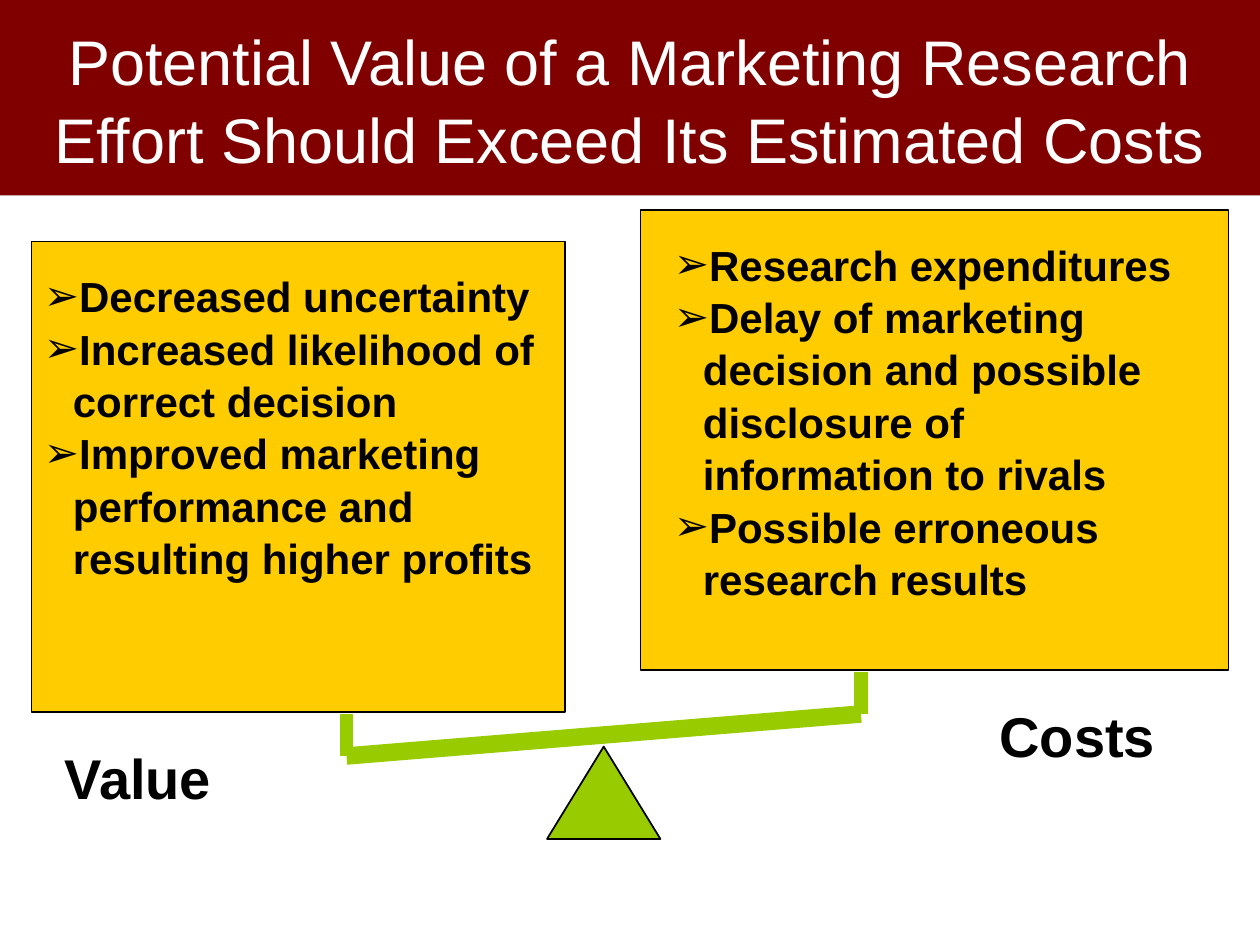
import pptx
import pptx.dml.color
import pptx.enum.shapes
import pptx.enum.text
import pptx.oxml
import pptx.oxml.ns
import pptx.util
from lxml import etree

RGBColor = pptx.dml.color.RGBColor
Shape = pptx.enum.shapes.MSO_SHAPE
Align = pptx.enum.text.PP_ALIGN
Anchor = pptx.enum.text.MSO_ANCHOR
AutoSize = pptx.enum.text.MSO_AUTO_SIZE

MAROON = RGBColor(0x80, 0x00, 0x00)
GOLD = RGBColor(0xFF, 0xCC, 0x00)
GREEN = RGBColor(0x99, 0xCC, 0x00)
BLACK = RGBColor(0x00, 0x00, 0x00)
WHITE = RGBColor(0xFF, 0xFF, 0xFF)

FONT = "Arial"
COLUMNS, ROWS = 120, 90
BULLET_INDENT = pptx.util.Inches(0.23)

VALUE_POINTS = [
    "Decreased uncertainty",
    "Increased likelihood of correct decision",
    "Improved marketing performance and resulting higher profits",
]
COST_POINTS = [
    "Research expenditures",
    "Delay of marketing decision and possible disclosure of information to rivals",
    "Possible erroneous research results",
]


def add_bullet(paragraph, character="➢"):
    properties = paragraph._p.get_or_add_pPr()
    properties.set("marL", str(BULLET_INDENT))
    properties.set("indent", str(-BULLET_INDENT))
    color = etree.SubElement(properties, pptx.oxml.ns.qn("a:buClr"))
    etree.SubElement(color, pptx.oxml.ns.qn("a:srgbClr"), val=str(BLACK))
    etree.SubElement(properties, pptx.oxml.ns.qn("a:buFont"), typeface=FONT)
    etree.SubElement(properties, pptx.oxml.ns.qn("a:buChar"), char=character)


def write_text(text_frame, lines, size, color=BLACK, bold=True, align=Align.LEFT, bullets=False):
    for index, line in enumerate(lines):
        paragraph = text_frame.paragraphs[0] if index == 0 else text_frame.add_paragraph()
        paragraph.alignment = align
        paragraph.line_spacing = 1.04
        if bullets:
            add_bullet(paragraph)
        run = paragraph.add_run()
        run.text = line
        run.font.name = FONT
        run.font.size = pptx.util.Pt(size)
        run.font.bold = bold
        run.font.color.rgb = color


class ScaleSlide:
    """Draws on one slide, with all lengths in grid columns and rows."""

    def __init__(self, presentation):
        self.slide = presentation.slides.add_slide(presentation.slide_layouts[5])
        self.column = presentation.slide_width / COLUMNS
        self.row = presentation.slide_height / ROWS

    def place(self, *lengths):
        """Turn alternating columns and rows into slide lengths."""
        return [round(length * (self.row if index % 2 else self.column))
                for index, length in enumerate(lengths)]

    def title(self, text, height):
        title = self.slide.shapes.title
        title.left, title.top, title.width, title.height = self.place(0, 0, COLUMNS, height)
        title.fill.solid()
        title.fill.fore_color.rgb = MAROON
        title.text_frame.auto_size = AutoSize.NONE
        title.text_frame.vertical_anchor = Anchor.MIDDLE
        write_text(title.text_frame, [text], size=36, color=WHITE, bold=False, align=Align.CENTER)

    def outlined_shape(self, kind, color, *bounds):
        shape = self.slide.shapes.add_shape(kind, *self.place(*bounds))
        shape.shadow.inherit = False
        shape.fill.solid()
        shape.fill.fore_color.rgb = color
        shape.line.color.rgb = BLACK
        shape.line.width = pptx.util.Pt(1)

    def text(self, lines, size, *bounds, wrap=True, bullets=False):
        text_frame = self.slide.shapes.add_textbox(*self.place(*bounds)).text_frame
        text_frame.word_wrap = wrap
        text_frame.auto_size = AutoSize.SHAPE_TO_FIT_TEXT
        write_text(text_frame, lines, size, bullets=bullets)

    def beam(self, width, *ends):
        connector = self.slide.shapes.add_connector(
            pptx.enum.shapes.MSO_CONNECTOR.STRAIGHT, *self.place(*ends))
        connector.line.color.rgb = GREEN
        connector.line.width = pptx.util.Pt(width)
        etree.SubElement(connector._element.spPr, pptx.oxml.ns.qn("a:effectLst"))


def main():
    presentation = pptx.Presentation()
    presentation.slide_width = pptx.util.Inches(10)
    presentation.slide_height = pptx.util.Inches(7.5)
    scale = ScaleSlide(presentation)

    scale.title("Potential Value of a Marketing Research Effort Should Exceed Its Estimated Costs",
                height=18.6)

    scale.outlined_shape(Shape.RECTANGLE, GOLD, 3, 23, 50.8, 44.8)
    scale.text(["Value"], 32, 5, 70, 16.6, 7.6, wrap=False)
    scale.text(VALUE_POINTS, 24, 3, 25, 50, 30, bullets=True)

    scale.outlined_shape(Shape.RECTANGLE, GOLD, 61, 20, 56, 43.8)
    scale.text(["Costs"], 32, 94, 66, 19.6, 7.6)
    scale.text(COST_POINTS, 24, 63, 22, 51, 34.8, bullets=True)

    scale.outlined_shape(Shape.ISOSCELES_TRIANGLE, GREEN, 52.1, 71.1, 10.8, 8.8)
    left, right, low, high, post = 33, 82, 72, 68, 4
    scale.beam(10, left, low, right, high)
    scale.beam(8, left, low, left, low - post)
    scale.beam(8, right, high, right, high - post)

    presentation.save("out.pptx")


if __name__ == "__main__":
    main()
